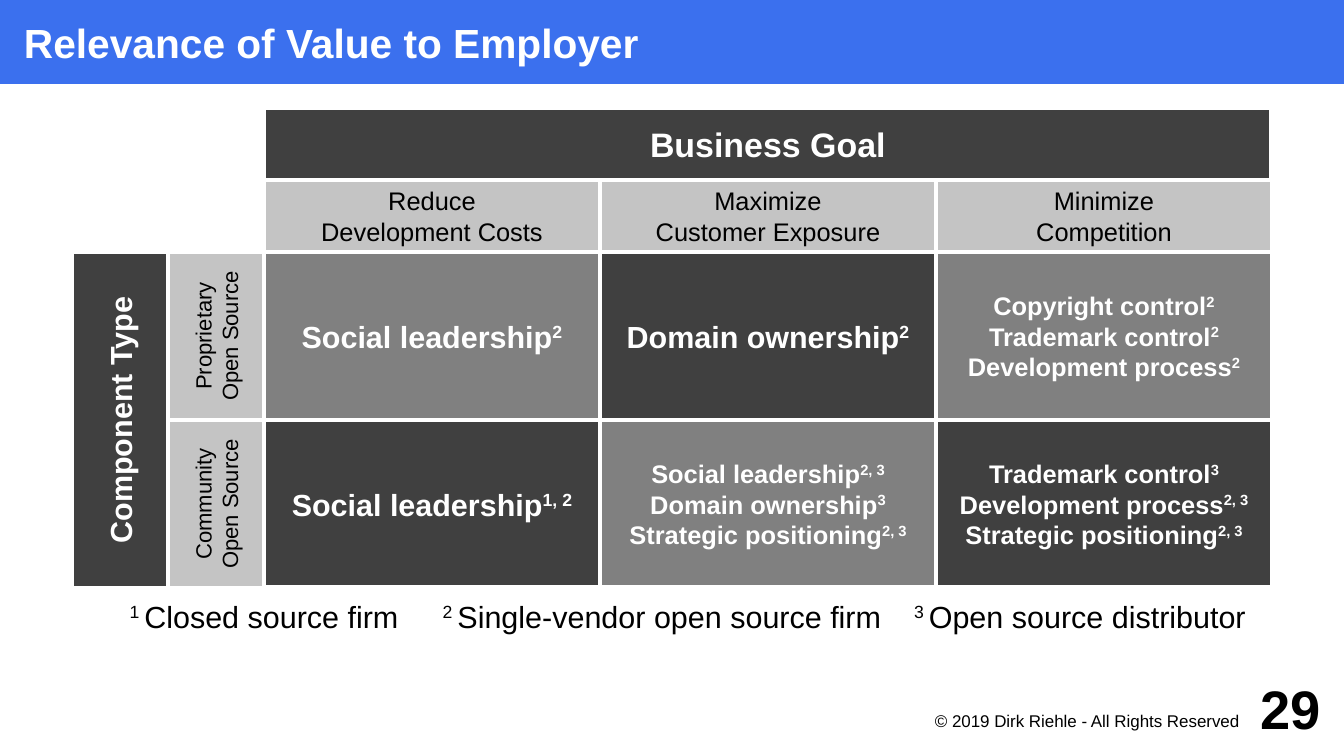
"""Build a matrix slide relating component types to an employer's business goals."""
from pptx import Presentation
from pptx import util as u
from pptx.dml.color import RGBColor
from pptx.enum import shapes, text

PX = u.Inches(1) / 122
DARK, MID, LIGHT = "404040", "808080", "C4C4C4"
WHITE, BLACK, BLUE = "FFFFFF", "000000", "3B70EE"
LEFT, CENTER, RIGHT = text.PP_ALIGN.LEFT, text.PP_ALIGN.CENTER, text.PP_ALIGN.RIGHT
TOP, MIDDLE = text.MSO_ANCHOR.TOP, text.MSO_ANCHOR.MIDDLE


def px(length):
    """Turn pixels into EMU."""
    return u.Emu(round(length * PX))


def rgb(value):
    """Turn a hex string into a colour."""
    return RGBColor.from_string(value)


class Board:
    """Hold the font and the current slide, and draw each kind of element."""

    font = "Arial"

    def __init__(self, deck):
        """Add a blank slide to the deck."""
        self.slide = deck.slides.add_slide(deck.slide_layouts[6])

    def set_lines(self, shape, lines, size, color, bold=False, align=CENTER,
                  anchor=MIDDLE, insets=(10, 10, 10, 10), wrap=True):
        """Fill a shape with lines in which every second part between ^ is raised."""
        frame = shape.text_frame
        frame.word_wrap = wrap
        frame.vertical_anchor = anchor
        (frame.margin_left, frame.margin_top,
         frame.margin_right, frame.margin_bottom) = map(px, insets)
        frame.text = "\n".join(lines)
        for paragraph, line in zip(frame.paragraphs, lines):
            paragraph.alignment = align
            parts = line.split("^")
            paragraph.text = parts[0]
            for part in parts[1:]:
                paragraph.add_run().text = part
            raised = parts[1::2]
            for run in paragraph.runs:
                run.font.name = self.font
                run.font.size = u.Pt(size)
                run.font.bold = bold
                run.font.color.rgb = rgb(color)
                if run.text in raised:
                    run.font._element.set("baseline", "33000")

    def box(self, x, y, width, height, fill, border=None):
        """Draw a filled rectangle."""
        shape = self.slide.shapes.add_shape(
            shapes.MSO_SHAPE.RECTANGLE, px(x), px(y), px(width), px(height))
        shape.shadow.inherit = False
        shape.fill.solid()
        shape.fill.fore_color.rgb = rgb(fill)
        if border:
            shape.line.color.rgb = rgb(border)
            shape.line.width = u.Pt(2.83)
        else:
            shape.line.fill.background()
        return shape

    def title(self, heading):
        """Draw the title bar."""
        bar = self.box(0, 0, 1344, 84, BLUE)
        self.set_lines(bar, [heading], 24, WHITE, True, LEFT, insets=(24, 0, 0, 0))

    def cell(self, x, y, width, height, fill, lines, size, upright=False):
        """Draw a matrix cell, with its text running upwards if upright."""
        if upright:
            x, y = x + (width - height) / 2, y + (height - width) / 2
            width, height = height, width
        shape = self.box(x, y, width, height, fill, WHITE)
        shape.rotation = 270 if upright else 0
        light = fill == LIGHT
        self.set_lines(shape, lines, size, BLACK if light else WHITE, not light,
                       wrap=False)

    def label(self, x, y, width, height, line, size, **style):
        """Draw a line of text without a frame."""
        area = self.slide.shapes.add_textbox(px(x), px(y), px(width), px(height))
        self.set_lines(area, [line], size, BLACK, **style)


GOALS = [
    ["Reduce", "Development Costs"],
    ["Maximize", "Customer Exposure"],
    ["Minimize", "Competition"],
]
COMPONENTS = ["Proprietary\vOpen Source", "Community\vOpen Source"]
VALUES = [
    [(MID, ["Social leadership^2"]),
     (DARK, ["Domain ownership^2"]),
     (MID, ["Copyright control^2", "Trademark control^2", "Development process^2"])],
    [(DARK, ["Social leadership^1, 2"]),
     (MID, ["Social leadership^2, 3", "Domain ownership^3", "Strategic positioning^2, 3"]),
     (DARK, ["Trademark control^3", "Development process^2, 3",
             "Strategic positioning^2, 3"])],
]
FIRMS = [
    (72, 384, "^1 ^Closed source firm"),
    (422, 480, "^2 ^Single-vendor open source firm"),
    (888, 384, "^3 ^Open source distributor"),
]
GRID_X, GRID_Y = 264, 252
COLUMN, ROW, HEADER, SIDE = 336, 168, 72, 96


def main():
    """Build and save the slide."""
    deck = Presentation()
    deck.slide_width, deck.slide_height = px(1344), px(756)
    board = Board(deck)
    board.title("Relevance of Value to Employer")

    board.cell(GRID_X, GRID_Y - 2 * HEADER, COLUMN * len(GOALS), HEADER,
               DARK, ["Business Goal"], 20)
    for column, goal in enumerate(GOALS):
        board.cell(GRID_X + column * COLUMN, GRID_Y - HEADER, COLUMN, HEADER,
                   LIGHT, goal, 15)

    board.cell(GRID_X - 2 * SIDE, GRID_Y, SIDE, ROW * len(COMPONENTS),
               DARK, ["Component Type"], 18, upright=True)
    for row, (component, values) in enumerate(zip(COMPONENTS, VALUES)):
        y = GRID_Y + row * ROW
        board.cell(GRID_X - SIDE, y, SIDE, ROW, LIGHT, [component], 13, upright=True)
        for column, (fill, lines) in enumerate(values):
            board.cell(GRID_X + column * COLUMN, y, COLUMN, ROW, fill, lines,
                       18 if len(lines) == 1 else 15)

    for x, width, firm in FIRMS:
        board.label(x, GRID_Y + 2 * ROW, width, 55, firm, 18, anchor=TOP)
    board.label(865, 709, 384, 36, "© 2019 Dirk Riehle - All Rights Reserved", 10,
                align=RIGHT, anchor=TOP, insets=(0, 2, 10, 0))
    board.label(1225, 672, 96, 72, "29", 32, bold=True, align=RIGHT, insets=(0, 0, 0, 0))
    deck.save("out.pptx")


if __name__ == "__main__":
    main()
